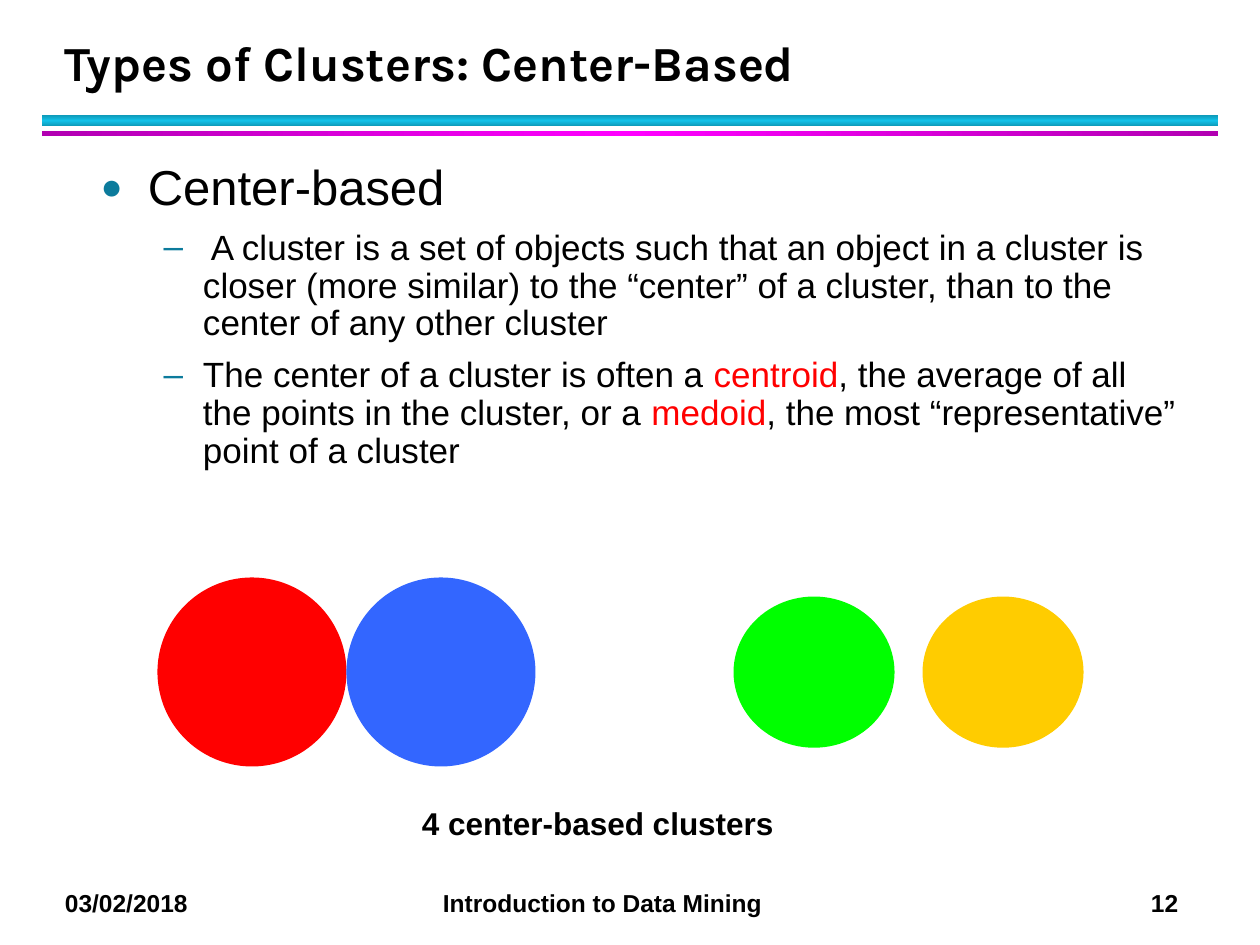
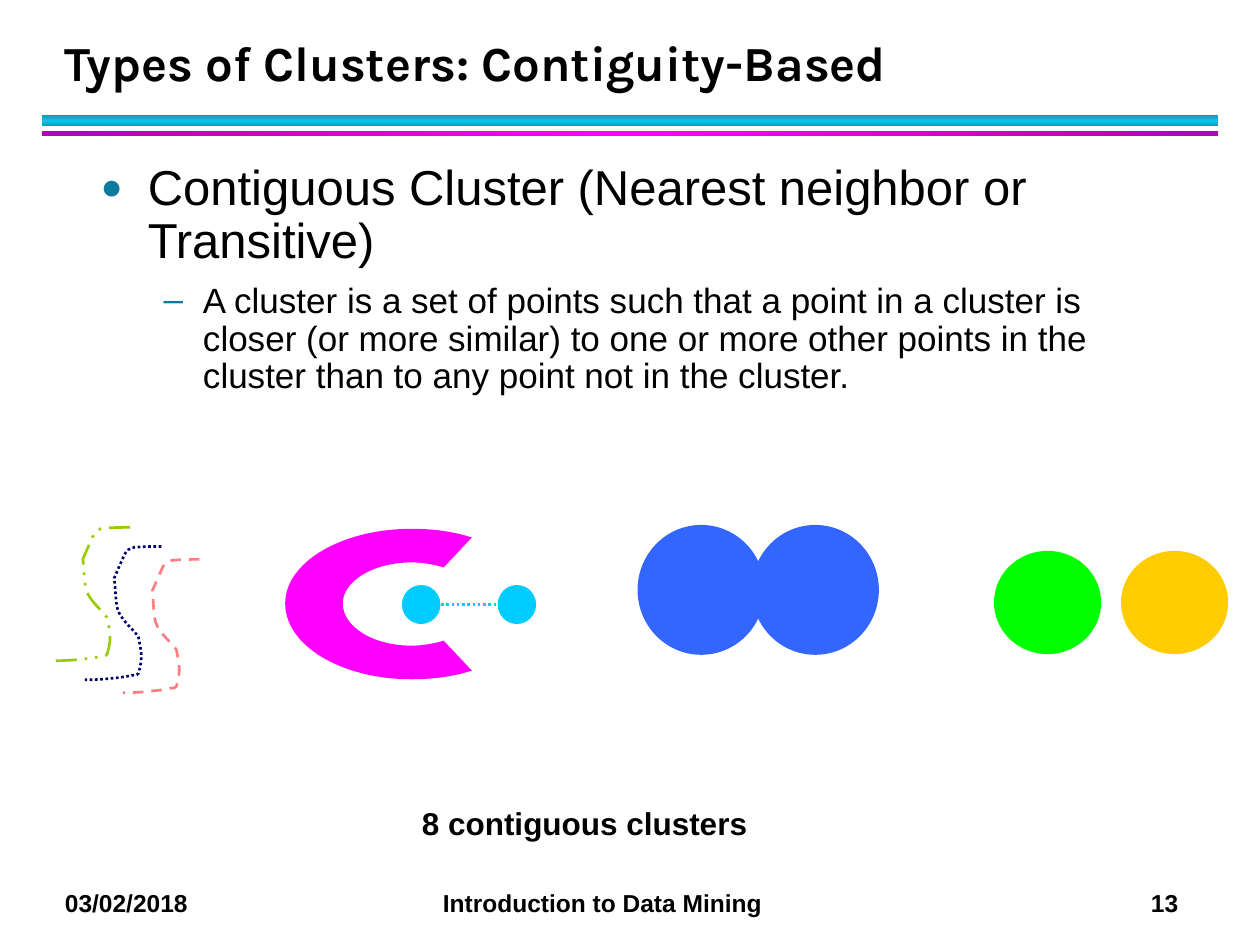
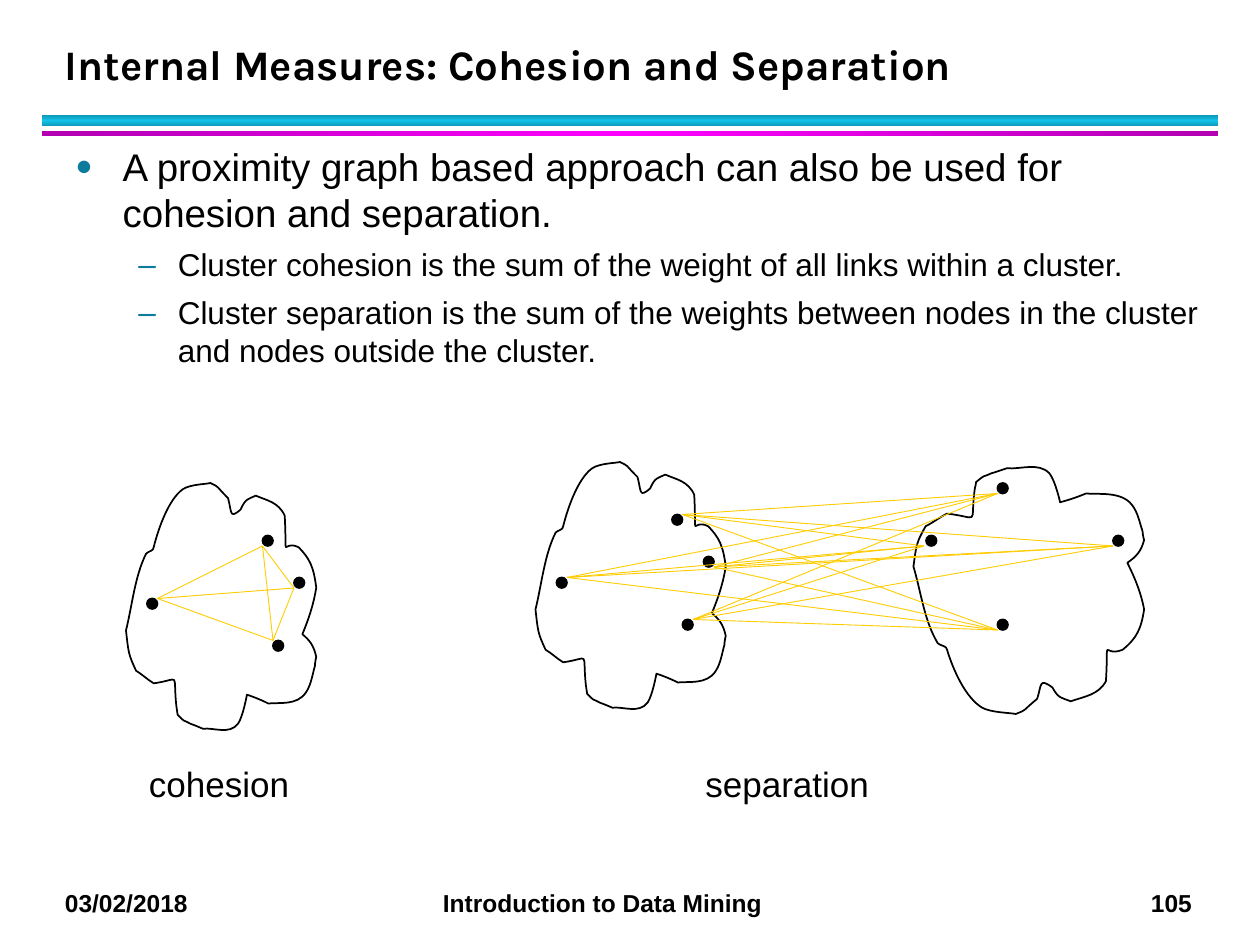
"""Build three lecture slides on cluster types and cluster validity."""
from copy import deepcopy
from itertools import combinations, product

from lxml.etree import SubElement
from pptx import Presentation
from pptx.dml.color import RGBColor
from pptx.enum.dml import MSO_LINE
from pptx.enum.shapes import MSO_CONNECTOR, MSO_SHAPE
from pptx.enum.text import MSO_ANCHOR, MSO_AUTO_SIZE
from pptx.oxml.ns import qn
from pptx.util import Pt

BLACK = RGBColor(0x00, 0x00, 0x00)
RED = RGBColor(0xFF, 0x00, 0x00)
BLUE = RGBColor(0x33, 0x66, 0xFF)
GREEN = RGBColor(0x00, 0xFF, 0x00)
GOLD = RGBColor(0xFF, 0xCC, 0x00)
CYAN = RGBColor(0x00, 0xCC, 0xFF)
MAGENTA = RGBColor(0xFF, 0x00, 0xFF)
PURPLE = RGBColor(0xB2, 0x00, 0xB2)
OLIVE = RGBColor(0x99, 0xCC, 0x00)
NAVY = RGBColor(0x00, 0x00, 0x66)
PINK = RGBColor(0xFF, 0x7C, 0x80)
TEAL = RGBColor(0x0E, 0x9B, 0xBA)
BRIGHT_TEAL = RGBColor(0x12, 0xC2, 0xE9)
BULLET_COLOR = "0C7B9C"

BODY_FONT = "Arial"
TITLE_FONT = "Karla"
DATE = "03/02/2018"
COURSE = "Introduction to Data Mining"
FOOTER_TABS = (216, 620.6)
BANDS = [((24, 66, 672, 6), TEAL, BRIGHT_TEAL, 90), ((24, 75, 672, 3), PURPLE, MAGENTA, 0)]
BULLETS = [("●", 27, 27, 75), ("–", 58.5, 22.5, 100)]
WIDE_BODY = dict(box=(50.4, 89.7, 630, 402.5), sizes=(28, 20), before=(5.6, 4), spacing=0.9)
TIGHT_BODY = dict(box=(36, 78, 666, 420), sizes=(22, 18), before=(0, 1.8), spacing=None)
CAPTION_BOX = (234, 456, 252, 29)

CENTER_TEXT = [
    (0, ["Center-based"]),
    (1, [" A cluster is a set of objects such that an object in a cluster is closer "
         "(more similar) to the “center” of a cluster, than to the center of any other cluster"]),
    (1, ["The center of a cluster is often a ", ("centroid", RED),
         ", the average of all the points in the cluster, or a ", ("medoid", RED),
         ", the most “representative” point of a cluster"]),
]
CONTIGUITY_TEXT = [
    (0, ["Contiguous Cluster (Nearest neighbor or Transitive)"]),
    (1, ["A cluster is a set of points such that a point in a cluster is closer (or more similar) "
         "to one or more other points in the cluster than to any point not in the cluster."]),
]
MEASURE_TEXT = [
    (0, ["A proximity graph based approach can also be used for cohesion and separation."]),
    (1, ["Cluster cohesion is the sum of the weight of all links within a cluster."]),
    (1, ["Cluster separation is the sum of the weights between nodes in the cluster "
         "and nodes outside the cluster."]),
]

CENTER_CIRCLES = [
    ((90, 330, 108, 108), RED), ((198, 330, 108, 108), BLUE),
    ((419.2, 340.9, 92, 86.4), GREEN), ((527.2, 340.9, 92, 86.4), GOLD),
]
CONTIGUOUS_CIRCLES = [
    ((229.7, 334.3, 22, 22.3), CYAN), ((284.4, 334.3, 22, 22.3), CYAN),
    ((568, 314.8, 61.2, 59), GREEN), ((640.6, 314.8, 61.2, 59), GOLD),
    ((364.3, 300, 72.7, 74.2), BLUE), ((429.5, 300, 72.7, 74.2), BLUE),
]
WAVES = [
    ((30.6, 301.4), OLIVE, MSO_LINE.DASH_DOT_DOT),
    ((48.5, 312.3), NAVY, MSO_LINE.ROUND_DOT),
    ((70.2, 319.7), PINK, MSO_LINE.DASH),
]
WAVE_SIZE = (43.7, 76.2)

WAVE_OUTLINE = ((60, 105), (60, 0), [
    (52, 0, 44, 0, 37, 1), (35, 2, 33, 3, 32, 5), (31, 6, 24, 23, 23, 25),
    (24, 32, 24, 39, 25, 46), (26, 56, 36, 63, 42, 71), (44, 82, 46, 87, 42, 100),
    (41, 102, 37, 101, 35, 102), (23, 104, 11, 105, 0, 105),
])
HORSESHOE_OUTLINE = ((146, 121), (124, 90), [
    (117, 92, 108, 94, 99, 94), (69, 94, 45, 79, 45, 60), (45, 42, 69, 27, 99, 27),
    (108, 27, 117, 29, 124, 31), (146, 7), (131, 2, 115, 0, 99, 0),
    (44, 0, 0, 27, 0, 60), (0, 94, 44, 121, 99, 121), (115, 121, 131, 119, 146, 114), (124, 90),
])
BLOB_OUTLINE = ((151, 200), (16, 56), [
    (7, 74, 5, 97, 0, 117), (2, 135, 2, 136, 8, 149), (13, 152, 17, 156, 22, 159),
    (44, 156, 37, 149, 40, 177), (40, 179, 41, 182, 41, 184), (48, 191, 44, 187, 51, 191),
    (54, 192, 61, 195, 61, 195), (70, 194, 82, 200, 89, 191), (93, 185, 96, 168, 96, 168),
    (102, 170, 107, 172, 113, 175), (121, 174, 136, 177, 143, 166),
    (147, 160, 148, 152, 150, 145), (150, 142, 151, 138, 151, 138),
    (149, 129, 146, 125, 140, 120), (145, 108, 149, 96, 151, 83), (149, 67, 146, 60, 137, 51),
    (123, 44, 128, 66, 126, 26), (121, 15, 112, 14, 103, 10), (97, 13, 95, 12, 91, 21),
    (82, 29, 84, 23, 81, 12), (70, 1, 75, 4, 67, 0), (63, 1, 51, 1, 45, 5),
    (34, 13, 26, 35, 22, 51), (22, 54, 18, 54, 16, 56),
])

DOT = 6
LEFT_NODES = [(84, 90), (78, 30), (12, 66), (96, 54)]
RIGHT_NODES = [(114, 42), (7.2, 42), (48, 90), (48, 12)]
TOP_LEFT, TOP_RIGHT, BOTTOM_LEFT, BOTTOM_RIGHT = (0, 0), (DOT, 0), (0, DOT), (DOT, DOT)
CLUSTERS = {
    "inside": dict(box=(306, 264, 108.7, 144), nodes=LEFT_NODES, flip=False,
                   corners=[TOP_RIGHT, TOP_RIGHT, TOP_RIGHT, BOTTOM_RIGHT]),
    "outside": dict(box=(522, 264, 131.8, 144), nodes=RIGHT_NODES, flip=True,
                    corners=[BOTTOM_LEFT, (-1.2, DOT), BOTTOM_LEFT, BOTTOM_LEFT]),
    "cohesion": dict(box=(72, 276, 108.7, 144), nodes=LEFT_NODES, flip=False,
                     corners=[TOP_LEFT, BOTTOM_LEFT, TOP_RIGHT, BOTTOM_LEFT]),
}
LABELS = [("cohesion", (78, 432, 94.5, 31)), ("separation", (396, 432, 108, 31))]


def points(values):
    return [Pt(value) for value in values]


def add_bullet(paragraph, level):
    symbol, margin, hanging, percent = BULLETS[level]
    paragraph.level = level
    properties = paragraph._p.get_or_add_pPr()
    properties.set("marL", str(Pt(margin)))
    properties.set("indent", str(-Pt(hanging)))
    SubElement(SubElement(properties, qn("a:buClr")), qn("a:srgbClr"), val=BULLET_COLOR)
    SubElement(properties, qn("a:buSzPct"), val=str(percent * 1000))
    SubElement(properties, qn("a:buFont"), typeface=BODY_FONT)
    SubElement(properties, qn("a:buChar"), char=symbol)


def add_text(slide, content, box, *, sizes=(18,), font=BODY_FONT, bold=False, wrap=True,
             anchor=MSO_ANCHOR.TOP, spacing=None, before=None, tabs=()):
    frame = slide.shapes.add_textbox(*points(box)).text_frame
    frame.word_wrap = wrap
    if not wrap:
        frame.auto_size = MSO_AUTO_SIZE.SHAPE_TO_FIT_TEXT
    frame.vertical_anchor = anchor
    rows = [(0, [content])] if isinstance(content, str) else content
    for index, (level, runs) in enumerate(rows):
        paragraph = frame.add_paragraph() if index else frame.paragraphs[0]
        paragraph.line_spacing = spacing
        if before:
            paragraph.space_before = Pt(before[level])
            paragraph.space_after = Pt(4)
            add_bullet(paragraph, level)
        if tabs:
            tab_list = SubElement(paragraph._p.get_or_add_pPr(), qn("a:tabLst"))
            for position in tabs:
                SubElement(tab_list, qn("a:tab"), pos=str(Pt(position)), algn="l")
        for item in runs:
            text, color = (item, BLACK) if isinstance(item, str) else item
            run = paragraph.add_run()
            run.text = text
            run.font.name = font
            run.font.size = Pt(sizes[level])
            run.font.bold = bold
            run.font.color.rgb = color


def style_line(line, color, width, dash=None):
    line.color.rgb = color
    line.width = Pt(width)
    if dash:
        line.dash_style = dash


def style_shape(shape, fill=None, line=None):
    shape.shadow.inherit = False
    if fill is None:
        shape.fill.background()
    else:
        shape.fill.solid()
        shape.fill.fore_color.rgb = fill
    if line:
        style_line(shape.line, *line)
    else:
        shape.line.fill.background()


def add_ellipse(slide, box, fill, line=None):
    style_shape(slide.shapes.add_shape(MSO_SHAPE.OVAL, *points(box)), fill, line)


def add_band(slide, box, edge, middle, angle):
    band = slide.shapes.add_shape(MSO_SHAPE.RECTANGLE, *points(box))
    style_shape(band)
    band.fill.gradient()
    band.fill.gradient_angle = angle
    stops = band._element.spPr.find(qn("a:gradFill")).find(qn("a:gsLst"))
    stops.append(deepcopy(stops[0]))
    for stop, position, color in zip(band.fill.gradient_stops, (0, 0.5, 1), (edge, middle, edge)):
        stop.position = position
        stop.color.rgb = color


def add_line(slide, start, end, color, width, dash=None):
    connector = slide.shapes.add_connector(MSO_CONNECTOR.STRAIGHT, *points(start + end))
    SubElement(connector._element.spPr, qn("a:effectLst"))
    style_line(connector.line, color, width, dash)


def add_outline(slide, outline, box, *, fill=None, line=None, close=True, flip=False):
    (grid_width, grid_height), start, segments = outline
    left, top, width, height = box

    def place(x, y):
        y = grid_height - y if flip else y
        return points((left + x / grid_width * width, top + y / grid_height * height))

    corners = [[place(*segment[i:i + 2]) for i in range(0, len(segment), 2)]
               for segment in segments]
    builder = slide.shapes.build_freeform(*place(*start))
    builder.add_line_segments([segment[-1] for segment in corners], close=close)
    shape = builder.convert_to_shape()
    for step, segment in zip(list(shape._element.iter(qn("a:lnTo"))), corners):
        if len(segment) == 3:
            step.tag = qn("a:cubicBezTo")
            step.remove(step[0])
            for x, y in segment:
                SubElement(step, qn("a:pt"), x=str(x - shape.left), y=str(y - shape.top))
    style_shape(shape, fill, line)


def add_cluster(slide, box, nodes, corners, flip):
    left, top = box[:2]
    add_outline(slide, BLOB_OUTLINE, box, line=(BLACK, 1), flip=flip)
    link_ends = []
    for (x, y), (right, down) in zip(nodes, corners):
        add_ellipse(slide, (left + x, top + y, DOT, DOT), BLACK, (BLACK, 1))
        link_ends.append((left + x + right, top + y + down))
    return link_ends


def add_slide(presentation, title, number, body, layout, title_size=28, title_height=43.5):
    slide = presentation.slides.add_slide(presentation.slide_layouts[6])
    for band in BANDS:
        add_band(slide, *band)
    add_text(slide, f"{DATE}\t{COURSE}\t{number}", (30, 504, 672, 24.5),
             sizes=(14,), bold=True, tabs=FOOTER_TABS)
    add_text(slide, title, (30, 12, 652, title_height), sizes=(title_size,), font=TITLE_FONT,
             bold=True, anchor=MSO_ANCHOR.BOTTOM, spacing=Pt(36))
    add_text(slide, body, **layout)
    return slide


def build_center_slide(presentation):
    slide = add_slide(presentation, "Types of Clusters: Center-Based", 12, CENTER_TEXT, WIDE_BODY)
    for box, color in CENTER_CIRCLES:
        add_ellipse(slide, box, color)
    add_text(slide, "4 center-based clusters", CAPTION_BOX, bold=True)


def build_contiguity_slide(presentation):
    slide = add_slide(presentation, "Types of Clusters: Contiguity-Based", 13,
                      CONTIGUITY_TEXT, WIDE_BODY)
    for corner, color, dash in WAVES:
        add_outline(slide, WAVE_OUTLINE, corner + WAVE_SIZE, line=(color, 1.5, dash), close=False)
    add_outline(slide, HORSESHOE_OUTLINE, (163, 302.2, 106.7, 86), fill=MAGENTA)
    for box, color in CONTIGUOUS_CIRCLES:
        add_ellipse(slide, box, color)
    add_line(slide, (252, 345.6), (284.4, 345.6), CYAN, 1.5, MSO_LINE.ROUND_DOT)
    add_text(slide, "8 contiguous clusters", CAPTION_BOX, bold=True)


def build_measure_slide(presentation):
    slide = add_slide(presentation, "Internal Measures: Cohesion and Separation", 105,
                      MEASURE_TEXT, TIGHT_BODY, title_size=24, title_height=42.2)
    ends = {name: add_cluster(slide, **cluster) for name, cluster in CLUSTERS.items()}
    links = [*product(ends["inside"], ends["outside"]), *combinations(ends["cohesion"], 2)]
    for start, end in links:
        add_line(slide, start, end, GOLD, 0.5)
    for label, box in LABELS:
        add_text(slide, label, box, sizes=(20,), wrap=False)


def main():
    presentation = Presentation()
    presentation.slide_width = Pt(720)
    presentation.slide_height = Pt(540)
    build_center_slide(presentation)
    build_contiguity_slide(presentation)
    build_measure_slide(presentation)
    presentation.save("out.pptx")


if __name__ == "__main__":
    main()
